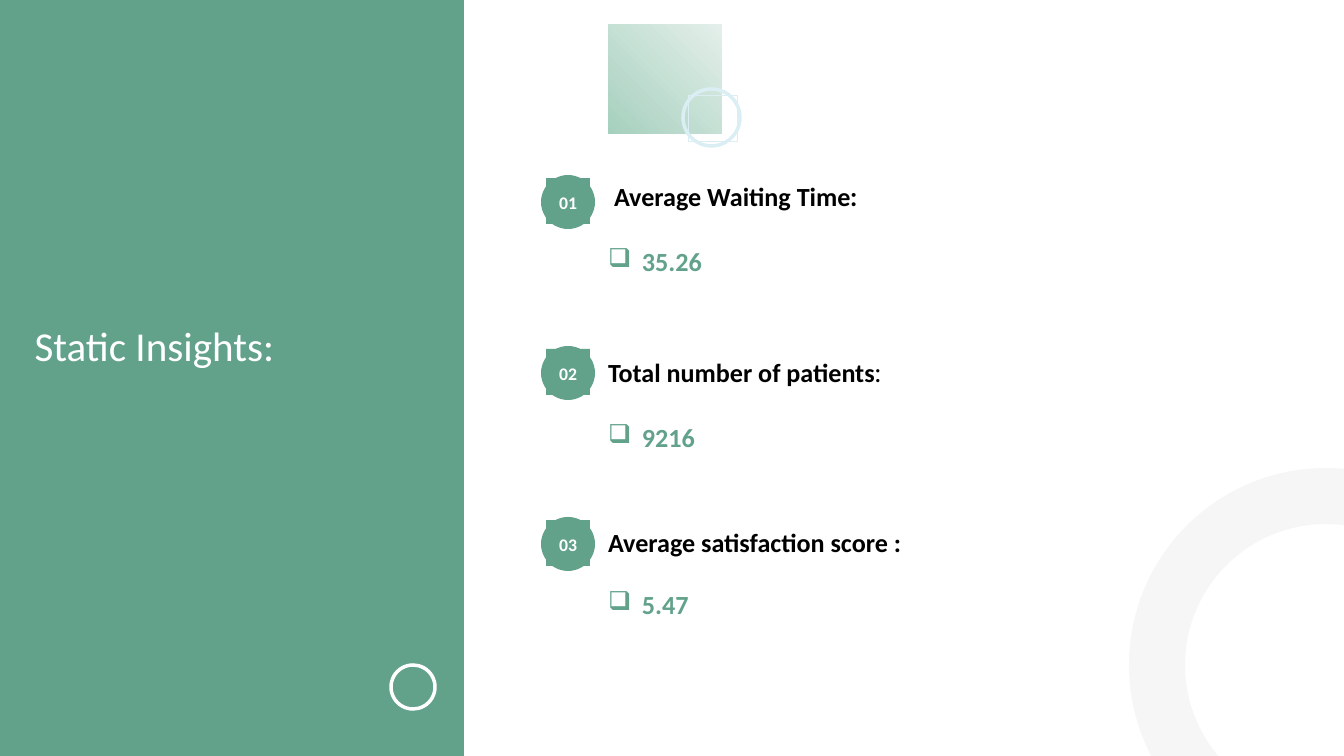
from lxml import etree
from pptx import Presentation
from pptx.dml.color import RGBColor
from pptx.enum.shapes import MSO_SHAPE
from pptx.enum.text import MSO_ANCHOR, PP_ALIGN
from pptx.oxml.ns import qn
from pptx.util import Pt

EMU_PER_PX = 914400 * 20 / 1344
GREEN = RGBColor(0x62, 0xA2, 0x8A)
MINT = RGBColor(0xA6, 0xD0, 0xBE)
PALE_MINT = RGBColor(0xE4, 0xEF, 0xEA)
PALE_BLUE = RGBColor(0xDB, 0xEE, 0xF4)
GREY = RGBColor(0xF6, 0xF6, 0xF6)
WHITE = RGBColor(0xFF, 0xFF, 0xFF)
BLACK = RGBColor(0, 0, 0)


def px(n):
    return round(n * EMU_PER_PX)


def add_run(p, text, font="Calibri", size=28, color=BLACK, bold=True):
    r = p.add_run()
    r.text = text
    r.font.name = font
    r.font.size = Pt(size)
    r.font.color.rgb = color
    r.font.bold = bold


class SlideBuilder:
    def __init__(self, prs):
        self.s = prs.slides.add_slide(prs.slide_layouts[6])

    def shape(self, kind, x, y, w, h, fill=None, line=None, weight=1):
        sp = self.s.shapes.add_shape(kind, px(x), px(y), px(w), px(h))
        sp.shadow.inherit = False
        if fill is None:
            sp.fill.background()
        else:
            sp.fill.solid()
            sp.fill.fore_color.rgb = fill
        if line is None:
            sp.line.fill.background()
        else:
            sp.line.color.rgb = line
            sp.line.width = Pt(weight)
        return sp

    def rect(self, x, y, w, h, **style):
        return self.shape(MSO_SHAPE.RECTANGLE, x, y, w, h, **style)

    def circle(self, x, y, d, **style):
        return self.shape(MSO_SHAPE.OVAL, x, y, d, d, **style)

    def gradient(self, x, y, w, h, start, end):
        sp = self.rect(x, y, w, h)
        sp.fill.gradient()
        sp.fill.gradient_angle = 45
        for stop, color in zip(sp.fill.gradient_stops, (start, end)):
            stop.color.rgb = color

    def text_box(self, x, y, w, h, inset=None):
        tf = self.s.shapes.add_textbox(px(x), px(y), px(w), px(h)).text_frame
        tf.word_wrap = True
        if inset is not None:
            tf.margin_left = tf.margin_right = px(inset)
            tf.margin_top = tf.margin_bottom = px(inset)
        return tf

    def badge(self, x, y, label):
        self.circle(x, y, 54, fill=GREEN)
        tf = self.rect(x + 5, y + 3, 44, 46, fill=GREEN).text_frame
        tf.margin_left = tf.margin_right = px(4)
        tf.margin_top = tf.margin_bottom = px(4)
        tf.vertical_anchor = MSO_ANCHOR.MIDDLE
        p = tf.paragraphs[0]
        p.alignment = PP_ALIGN.CENTER
        p.line_spacing = Pt(26.6)
        add_run(p, label, size=19, color=WHITE)

    def insight(self, x, y, heading, value, leading, indent):
        tf = self.text_box(x, y, 520, 98, inset=0)
        p = tf.paragraphs[0]
        p.line_spacing = Pt(leading)
        p._p.get_or_add_pPr().set("marL", str(px(indent)))
        for text, style in heading:
            add_run(p, text, **style)

        # Value, one line lower, with a box bullet
        p = tf.add_paragraph()
        p.line_spacing = p.space_before = Pt(leading)
        add_run(p, value, color=GREEN)
        pPr = p._p.get_or_add_pPr()
        pPr.set("marL", str(px(34)))
        pPr.set("indent", str(px(-34)))
        etree.SubElement(pPr, qn("a:buChar")).set("char", "❑")


def main():
    prs = Presentation()
    prs.slide_width, prs.slide_height = px(1344), px(756)
    b = SlideBuilder(prs)

    # Title panel
    b.rect(0, 0, 464, 756, fill=GREEN)
    b.circle(391, 665, 44, line=WHITE, weight=3.75)
    p = b.text_box(28, 334, 415, 44).paragraphs[0]
    p.line_spacing = Pt(35)
    add_run(p, "Static Insights:", size=44, color=WHITE, bold=False)

    # Decorations
    b.circle(1157, 496, 338, line=GREY, weight=60)
    b.gradient(608, 25, 114, 109, MINT, PALE_MINT)
    b.circle(683, 89, 57, line=PALE_BLUE, weight=3.75)
    b.rect(688, 95, 49, 46, line=PALE_BLUE, weight=0.75)

    # Numbered insights: text top, heading runs, value, leading, indent
    insights = [
        (179, [("Average Waiting Time", {}), (":", {"font": "Lato"})],
         "35.26", 35, 6),
        (355, [("Total number of patients", {}),
               (":", {"font": "Lato", "bold": False})], "9216", 35, 0),
        (526, [("Average satisfaction score :", {})], "5.47", 33.6, 0),
    ]
    for i, (top, heading, value, leading, indent) in enumerate(insights):
        b.badge(541, 175 + 171 * i, f"{i + 1:02}")
        b.insight(608, top, heading, value, leading, indent)

    prs.save("out.pptx")


if __name__ == "__main__":
    main()
